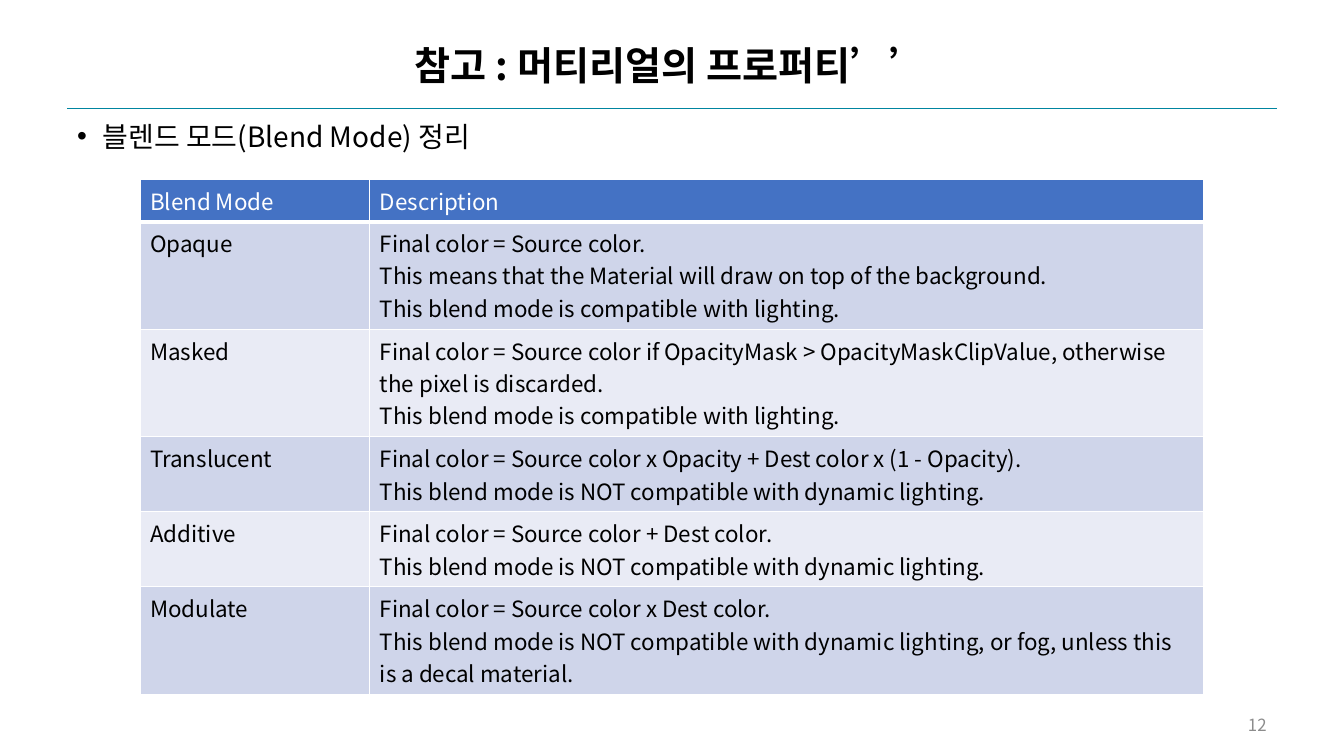
"""Build the slide that summarises material blend modes."""
from dataclasses import dataclass

from lxml.etree import SubElement
from pptx import Presentation
from pptx.dml.color import RGBColor
from pptx.enum.text import MSO_ANCHOR, PP_ALIGN
from pptx.oxml.ns import qn
from pptx.slide import Slide
from pptx.util import Cm, Pt


@dataclass(frozen=True)
class Theme:
    """Fonts, colours and type sizes of the slide."""
    font: str = "Noto Sans CJK KR"
    ink: str = "000000"
    white: str = "FFFFFF"
    rule: str = "0085A0"
    muted: str = "8C8C8C"
    header: str = "4472C4"
    bands: tuple[str, str] = ("CFD5EA", "E9EBF5")
    title_size: int = 28
    body_size: int = 20
    table_size: int = 16
    number_size: int = 12


@dataclass(frozen=True)
class BlendMode:
    """A table row: mode name, description paragraphs and line count."""
    name: str
    description: tuple[str, ...]
    lines: int


THEME = Theme()
LIT = "This blend mode is compatible with lighting."
UNLIT = "This blend mode is NOT compatible with dynamic lighting"
ROWS = (
    BlendMode("Blend Mode", ("Description",), 1),
    BlendMode("Opaque", (
        "Final color = Source color.",
        "This means that the Material will draw on top of the background.",
        LIT), 3),
    BlendMode("Masked", (
        "Final color = Source color if OpacityMask > OpacityMaskClipValue, "
        "otherwise the pixel is discarded.", LIT), 3),
    BlendMode("Translucent", (
        "Final color = Source color x Opacity + Dest color x (1 - Opacity).",
        f"{UNLIT}."), 2),
    BlendMode("Additive", (
        "Final color = Source color + Dest color.", f"{UNLIT}."), 2),
    BlendMode("Modulate", (
        "Final color = Source color x Dest color.",
        f"{UNLIT}, or fog, unless this is a decal material."), 3),
)
LEFT, WIDTH = Cm(1.69), Cm(30.48)


def add_run(paragraph, text: str, size: int, color: str, bold: bool = False) -> None:
    """Add one formatted run to a paragraph."""
    run = paragraph.add_run()
    run.text = text
    run.font.size = Pt(size)
    run.font.bold = bold
    run.font.name = THEME.font
    run.font.color.rgb = RGBColor.from_string(color)
    SubElement(run._r.get_or_add_rPr(), qn("a:ea"), typeface=THEME.font)


def place(shape, left: int, top: int, width: int, height: int) -> None:
    """Move and size a shape."""
    shape.left, shape.top, shape.width, shape.height = left, top, width, height


def add_heading(slide: Slide) -> None:
    """Fill the title and draw the rule below it."""
    title = slide.shapes.title
    place(title, LEFT, Cm(0.94), WIDTH, Cm(1.55))
    title.text_frame.vertical_anchor = MSO_ANCHOR.MIDDLE
    heading = title.text_frame.paragraphs[0]
    heading.alignment = PP_ALIGN.CENTER
    heading.line_spacing = 0.9
    add_run(heading, "참고 : 머티리얼의 프로퍼티’’", THEME.title_size, THEME.ink, True)

    rule = slide.shapes.add_connector(1, LEFT, Cm(2.74), LEFT + WIDTH, Cm(2.74))
    rule.line.color.rgb = RGBColor.from_string(THEME.rule)
    rule.line.width = Pt(1)
    SubElement(rule._element.spPr, qn("a:effectLst"))


def add_topic(slide: Slide) -> None:
    """Fill the body placeholder with the bulleted topic."""
    body = slide.placeholders[1]
    place(body, LEFT, Cm(2.97), WIDTH, Cm(14.68))
    topic = body.text_frame.paragraphs[0]
    properties = topic._p.get_or_add_pPr()
    properties.set("marL", str(Cm(0.64)))
    properties.set("indent", str(-Cm(0.64)))
    SubElement(properties, qn("a:buFont"), typeface="Arial")
    SubElement(properties, qn("a:buChar"), char="•")
    topic.line_spacing = 0.9
    topic.space_before = Pt(0)
    add_run(topic, "블렌드 모드(Blend Mode) 정리", THEME.body_size, THEME.ink)


def add_borders(cell, top: int, bottom: int) -> None:
    """Draw white borders of the given top and bottom widths in points."""
    properties = cell._tc.get_or_add_tcPr()
    for side, width in (("L", 1), ("R", 1), ("T", top), ("B", bottom)):
        border = SubElement(properties, qn(f"a:ln{side}"), w=str(Pt(width)))
        fill = SubElement(border, qn("a:solidFill"))
        SubElement(fill, qn("a:srgbClr"), val=THEME.white)


def fill_cell(cell, texts: tuple[str, ...], row: int) -> None:
    """Write the paragraphs of a cell and colour it for its row."""
    add_borders(cell, 3 if row == 1 else 1, 3 if row == 0 else 1)
    cell.fill.solid()
    cell.fill.fore_color.rgb = RGBColor.from_string(
        THEME.bands[(row - 1) % 2] if row else THEME.header)
    frame = cell.text_frame
    for index, text in enumerate(texts):
        paragraph = frame.add_paragraph() if index else frame.paragraphs[0]
        add_run(paragraph, text, THEME.table_size, THEME.ink if row else THEME.white)


def add_modes(slide: Slide) -> None:
    """Add the table of blend modes with heights set by line count."""
    heights = [Cm(0.25 + 0.82 * mode.lines) for mode in ROWS]
    widths = (Cm(5.79), Cm(21.01))
    modes = slide.shapes.add_table(
        len(ROWS), len(widths), Cm(3.53), Cm(4.52), sum(widths), sum(heights)).table
    for column, width in zip(modes.columns, widths):
        column.width = width
    for row, mode in enumerate(ROWS):
        modes.rows[row].height = heights[row]
        fill_cell(modes.cell(row, 0), (mode.name,), row)
        fill_cell(modes.cell(row, 1), mode.description, row)


def add_page_number(slide: Slide) -> None:
    """Write the page number at the lower right."""
    corner = slide.shapes.add_textbox(Cm(23.92), Cm(17.86), Cm(8.25), Cm(0.81))
    corner.text_frame.word_wrap = True
    corner.text_frame.vertical_anchor = MSO_ANCHOR.MIDDLE
    number = corner.text_frame.paragraphs[0]
    number.alignment = PP_ALIGN.RIGHT
    add_run(number, "12", THEME.number_size, THEME.muted)


def main() -> None:
    """Create and save the presentation."""
    deck = Presentation()
    deck.slide_width, deck.slide_height = Cm(33.87), Cm(19.05)
    slide = deck.slides.add_slide(deck.slide_layouts[1])
    add_heading(slide)
    add_topic(slide)
    add_modes(slide)
    add_page_number(slide)
    deck.save("out.pptx")


if __name__ == "__main__":
    main()
